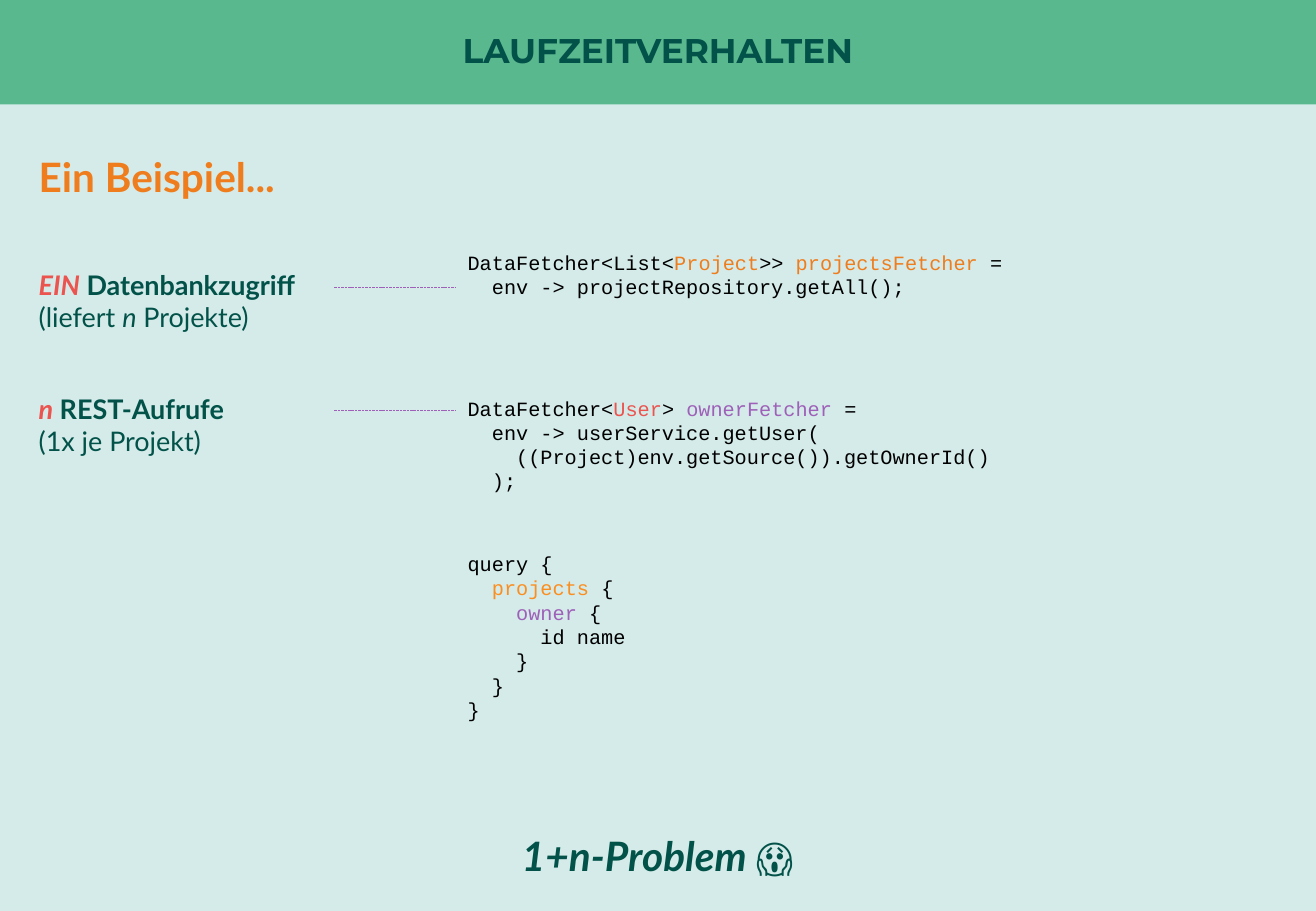
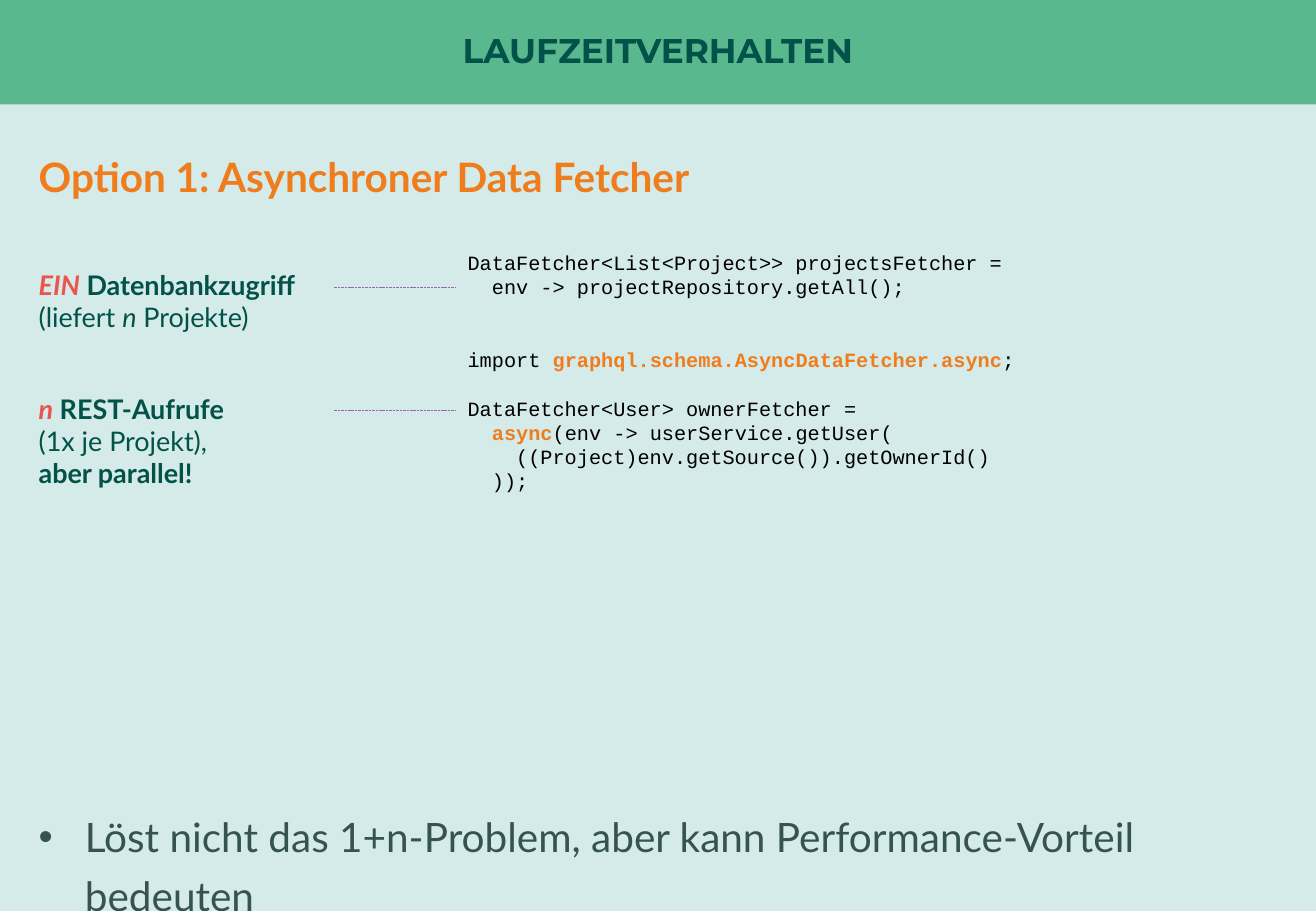
from lxml import etree
from pptx import Presentation
from pptx import util as u
from pptx.dml.color import RGBColor
from pptx.enum import dml, shapes, text
from pptx.oxml import ns

PX = 9144
WIDTH, HEIGHT, BAND = 1083, 750, 86
CODE_LINE = 14.4
C = {"paper": "D4EBE9", "band": "5AB88F", "dark": "025249", "orange": "EF7D1D",
     "amber": "FB8E20", "red": "EB544F", "violet": "9E60B8", "black": "000000",
     "slate": "36544F"}
STYLES = {
    "title": {"name": "Montserrat", "size": u.Pt(20.3), "color": "dark", "bold": True},
    "heading": {"name": "Lato", "size": u.Pt(24), "color": "orange", "bold": True},
    "label": {"name": "Lato", "size": u.Pt(16), "color": "dark"},
    "code": {"name": "Courier New", "size": u.Pt(12), "color": "black"},
    "verdict": {"name": "Lato", "size": u.Pt(24), "color": "dark", "bold": True},
    "bullet": {"name": "Lato", "size": u.Pt(24), "color": "slate"},
}


def write(frame, style, lines, gaps=(), **layout):
    for i, line in enumerate(lines):
        paragraph = frame.paragraphs[0] if i == 0 else frame.add_paragraph()
        for key, value in layout.items():
            setattr(paragraph, key, value)
        if i in gaps:
            paragraph.space_before = u.Pt(gaps[i] * CODE_LINE)
        for part in [line] if isinstance(line, str) else line:
            words, changes = (part, {}) if isinstance(part, str) else part
            run = paragraph.add_run()
            run.text = words
            for key, value in {**STYLES[style], **changes}.items():
                if key == "color":
                    run.font.color.rgb = RGBColor.from_string(C[value])
                else:
                    setattr(run.font, key, value)


def add_text(slide, box, style, lines, gaps=(), **layout):
    frame = slide.shapes.add_textbox(*(v * PX for v in box)).text_frame
    frame.word_wrap = True
    write(frame, style, lines, gaps, **layout)
    return frame


ORANGE, AMBER, RED, VIOLET = ({"color": name} for name in ("orange", "amber", "red", "violet"))
BOLD, ITALIC = {"bold": True}, {"italic": True}
COUNT = {**RED, **BOLD, **ITALIC}
KEYWORD = {**ORANGE, **BOLD}

database_label = [
    [("EIN", COUNT), (" Datenbankzugriff", BOLD)],
    ["(liefert ", ("n", ITALIC), " Projekte)"],
]
rest_label = [("n", COUNT), (" REST-Aufrufe", BOLD)]
repository_call = "  env -> projectRepository.getAll();"
owner_call = "    ((Project)env.getSource()).getOwnerId()"

contents = [
    {
        "heading": "Ein Beispiel...",
        "fetchers": [
            ["DataFetcher<List<", ("Project", ORANGE), ">> ", ("projectsFetcher", ORANGE), " ="],
            repository_call,
            ["DataFetcher<", ("User", RED), "> ", ("ownerFetcher", VIOLET), " ="],
            "  env -> userService.getUser(",
            owner_call,
            "  );",
        ],
        "gaps": {2: 4},
        "rest": [rest_label, "(1x je Projekt)"],
    },
    {
        "heading": "Option 1: Asynchroner Data Fetcher",
        "fetchers": [
            "DataFetcher<List<Project>> projectsFetcher =",
            repository_call,
            ["import ", ("graphql.schema.AsyncDataFetcher.async", KEYWORD), ";"],
            "DataFetcher<User> ownerFetcher =",
            ["  ", ("async", KEYWORD), "(env -> userService.getUser("],
            owner_call,
            "  ));",
        ],
        "gaps": {2: 2, 3: 1},
        "rest": [rest_label, "(1x je Projekt),", [("aber parallel!", BOLD)]],
    },
]
query = [
    "query {",
    ["  ", ("projects", AMBER), " {"],
    ["    ", ("owner", VIOLET), " {"],
    "      id name",
    "    }",
    "  }",
    "}",
]

prs = Presentation()
prs.slide_width, prs.slide_height = WIDTH * PX, HEIGHT * PX
paper = prs.slide_master.background.fill
paper.solid()
paper.fore_color.rgb = RGBColor.from_string(C["paper"])

for content in contents:
    slide = prs.slides.add_slide(prs.slide_layouts[6])

    band = slide.shapes.add_shape(shapes.MSO_SHAPE.RECTANGLE, 0, 0, WIDTH * PX, BAND * PX)
    band.shadow.inherit = False
    band.fill.solid()
    band.fill.fore_color.rgb = RGBColor.from_string(C["band"])
    band.line.fill.background()
    title = band.text_frame
    title.vertical_anchor = text.MSO_ANCHOR.MIDDLE
    for side in ("left", "top", "right", "bottom"):
        setattr(title, f"margin_{side}", 0)
    write(title, "title", ["LAUFZEITVERHALTEN"],
          alignment=text.PP_ALIGN.CENTER, line_spacing=0.9)

    add_text(slide, (22, 112, 1039, 55), "heading", [content["heading"]], line_spacing=1.2)
    add_text(slide, (375, 201, 700, 232), "code", content["fetchers"], content["gaps"],
             line_spacing=u.Pt(CODE_LINE))

    for label, top, line_y in ((database_label, 216, 237), (content["rest"], 318, 338)):
        add_text(slide, (22, top, 267, 10 + 27 * len(label)), "label", label)
        pointer = slide.shapes.add_connector(
            shapes.MSO_CONNECTOR.STRAIGHT, 275 * PX, line_y * PX, 375 * PX, line_y * PX)
        pointer.line.color.rgb = RGBColor.from_string(C["violet"])
        pointer.line.width = u.Pt(0.5)
        pointer.line.dash_style = dml.MSO_LINE.SQUARE_DOT
        etree.SubElement(pointer.element.spPr, ns.qn("a:effectLst"))

example, option = prs.slides
add_text(example, (375, 449, 700, 151), "code", query, line_spacing=u.Pt(CODE_LINE))
add_text(example, (0, 671, WIDTH, 56), "verdict", [[("1+n-Problem ", ITALIC), "😱"]],
         alignment=text.PP_ALIGN.CENTER, line_spacing=1.2)

conclusion = add_text(
    option, (22, 656, 1039, 106), "bullet",
    ["Löst nicht das 1+n-Problem, aber kann Performance-Vorteil bedeuten"], line_spacing=1.2)
bullet = conclusion.paragraphs[0]._p.get_or_add_pPr()
bullet.set("marL", str(38 * PX))
bullet.set("indent", str(-38 * PX))
etree.SubElement(bullet, ns.qn("a:buFont"), typeface="Arial")
etree.SubElement(bullet, ns.qn("a:buChar"), char="•")

prs.save("out.pptx")
